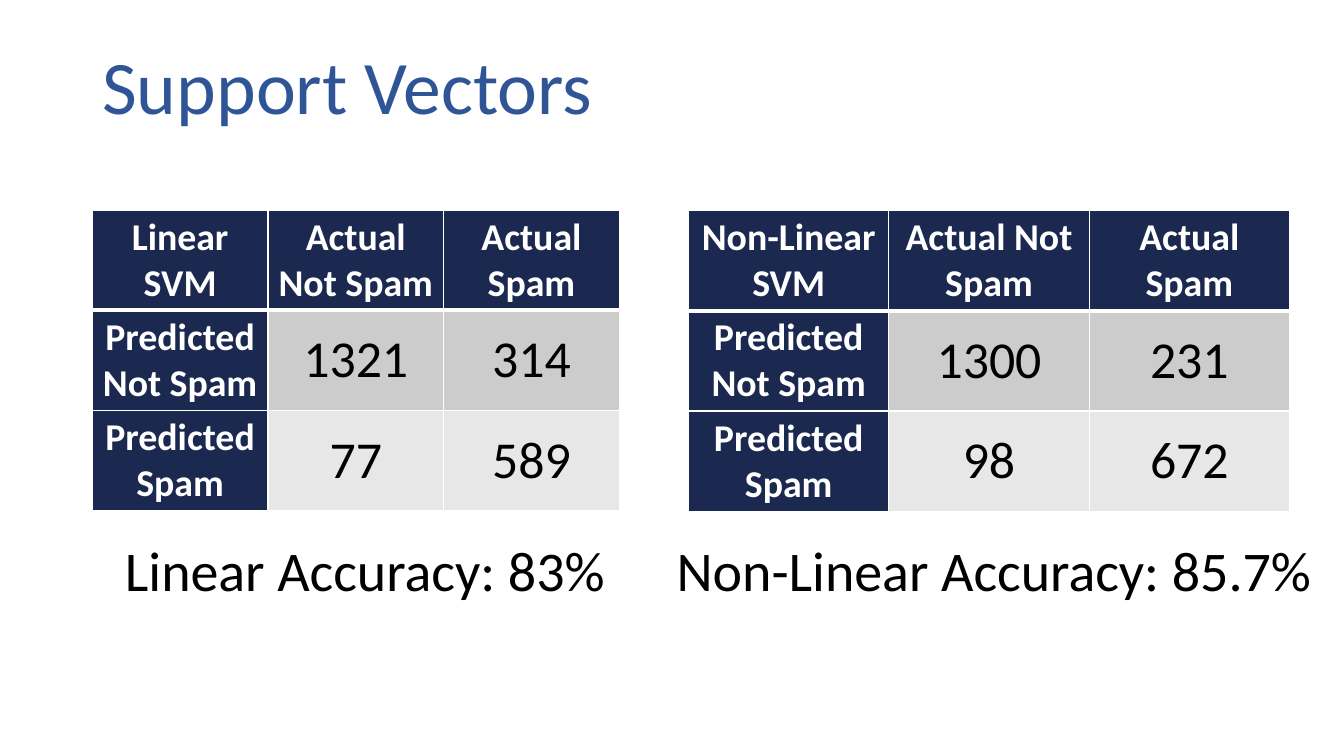
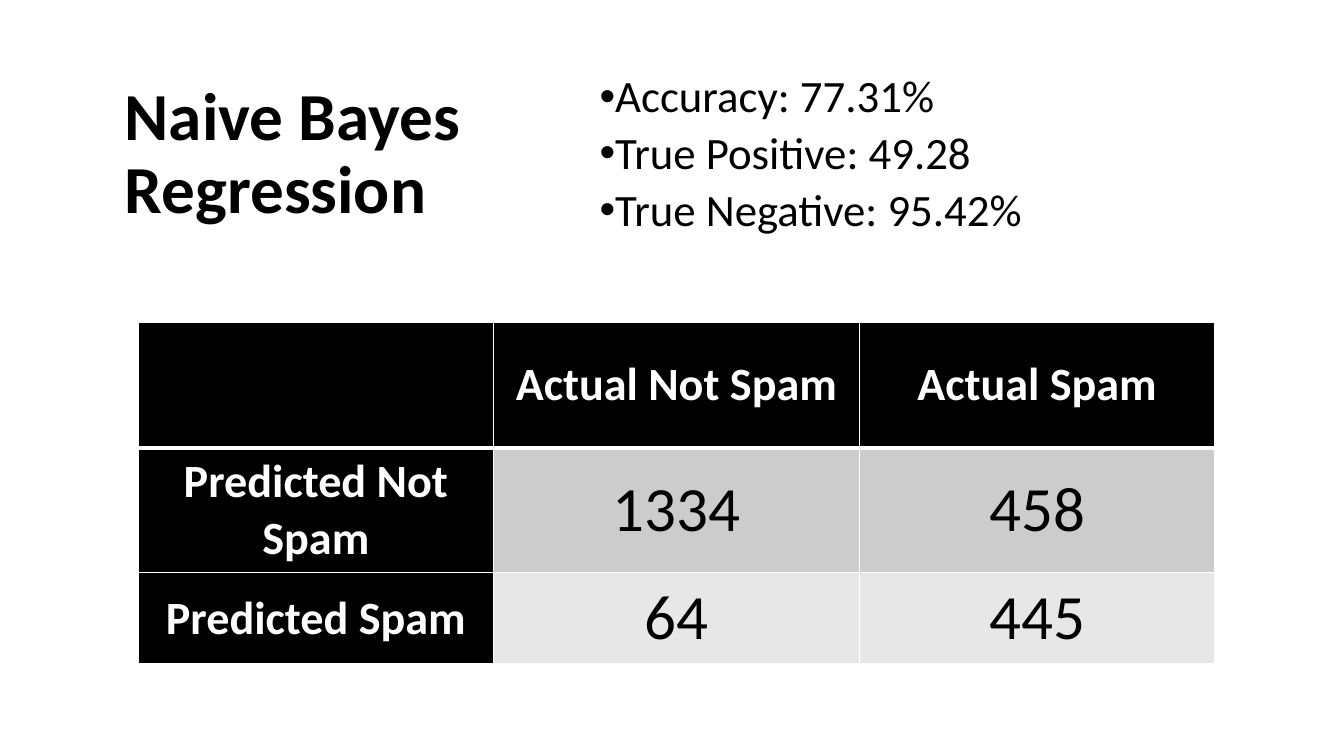
from lxml import etree
from pptx import Presentation
from pptx.dml.color import RGBColor
from pptx.enum.text import MSO_ANCHOR, PP_ALIGN
from pptx.oxml.ns import qn
from pptx.util import Pt

LEFT, CENTER = PP_ALIGN.LEFT, PP_ALIGN.CENTER
MIDDLE = MSO_ANCHOR.MIDDLE

FONT = "Calibri"
BLACK, WHITE = "000000", "FFFFFF"
BLUE, NAVY = "2F5597", "1B284F"
BODY_FILLS = ["CCCCCC", "E7E7E7"]

# Paragraph formats shared by the slides
LEFT_LINES = {"alignment": LEFT, "line_spacing": 0.9}
CENTER_LINES = {"alignment": CENTER, "line_spacing": 0.9}
LIST_LINES = {"alignment": LEFT, "line_spacing": 0.9, "space_after": Pt(6)}
CELL_LINES = {"alignment": CENTER}


def write(frame, lines, layout, size, color, bold=False):
    """Fill a text frame with one formatted paragraph per line."""
    frame.word_wrap = True
    for index, line in enumerate(lines):
        para = frame.paragraphs[0] if index == 0 else frame.add_paragraph()
        for name, value in layout.items():
            setattr(para, name, value)
        span = para.add_run()
        span.text = line
        for name, value in {"name": FONT, "size": Pt(size), "bold": bold}.items():
            setattr(span.font, name, value)
        span.font.color.rgb = RGBColor.from_string(color)


def add_text(page, place, lines, layout, size, color, bold=False):
    """Add a vertically centred text box and return its text frame."""
    box = page.shapes.add_textbox(*[Pt(length) for length in place])
    box.text_frame.vertical_anchor = MIDDLE
    write(box.text_frame, lines, layout, size, color, bold)
    return box.text_frame


deck = Presentation()
deck.slide_width, deck.slide_height = Pt(960), Pt(540)
blank = deck.slide_layouts[6]
vectors_page = deck.slides.add_slide(blank)
bayes_page = deck.slides.add_slide(blank)

# Titles
add_text(vectors_page, (66, 12, 828, 104.4), ["Support Vectors"], LEFT_LINES, 54, BLUE)
add_text(bayes_page, (82, 46, 280, 129.6), ["Naive Bayes Regression"],
         LEFT_LINES, 48, BLACK, True)

# Accuracy captions
for left, caption in [(7.2, "Linear Accuracy: 83%"),
                      (456.5, "Non-Linear Accuracy: 85.7%")]:
    add_text(vectors_page, (left, 314.4, 507, 190), [caption], CENTER_LINES, 40, BLACK)

# Bulleted scores
scores = add_text(bayes_page, (421.2, 46, 472.3, 129.6),
                  ["Accuracy: 77.31%", "True Positive: 49.28", "True Negative: 95.42%"],
                  LIST_LINES, 32, BLACK)
for para in scores.paragraphs:
    properties = para._p.get_or_add_pPr()
    properties.set("marL", "0")
    properties.set("indent", str(-Pt(18)))
    etree.SubElement(properties, qn("a:buFont")).set("typeface", "Arial")
    etree.SubElement(properties, qn("a:buChar")).set("char", "•")

# Confusion matrices
matrices = [
    {"page": vectors_page, "corner": "Linear SVM", "counts": [(1321, 314), (77, 589)],
     "left": 65.9, "top": 150, "columns": [125.5] * 3, "rows": [71.6] * 3,
     "fill": NAVY, "sizes": (27, 37), "margins": (5.8, 2.9)},
    {"page": vectors_page, "corner": "Non-Linear SVM", "counts": [(1300, 231), (98, 672)],
     "left": 491.8, "top": 150, "columns": [143.1] * 3, "rows": [72, 71.6, 71.6],
     "fill": NAVY, "sizes": (27, 37), "margins": (5.8, 2.9)},
    {"page": bayes_page, "corner": "", "counts": [(1334, 458), (64, 445)],
     "left": 98.8, "top": 230.4, "columns": [253.8, 261.4, 253.8],
     "rows": [89.4, 89.4, 65],
     "fill": BLACK, "sizes": (33, 45), "margins": (7.2, 3.6)},
]
for matrix in matrices:
    place = (matrix["left"], matrix["top"], sum(matrix["columns"]), sum(matrix["rows"]))
    frame = matrix["page"].shapes.add_table(3, 3, *[Pt(length) for length in place])
    table = frame.table
    for column, width in zip(table.columns, matrix["columns"]):
        column.width = Pt(width)
    for row, height in zip(table.rows, matrix["rows"]):
        row.height = Pt(height)

    grid = [(matrix["corner"], "Actual Not Spam", "Actual Spam"),
            ("Predicted Not Spam", *matrix["counts"][0]),
            ("Predicted Spam", *matrix["counts"][1])]
    side, edge = [Pt(margin) for margin in matrix["margins"]]
    cell_format = {"vertical_anchor": MIDDLE, "margin_left": side, "margin_right": side,
                   "margin_top": edge, "margin_bottom": edge}
    label_size, count_size = matrix["sizes"]

    for row, values in enumerate(grid):
        for column, value in enumerate(values):
            cell = table.cell(row, column)
            for name, setting in cell_format.items():
                setattr(cell, name, setting)

            # White borders, heavier under the header row
            properties = cell._tc.get_or_add_tcPr()
            for border in ("lnL", "lnR", "lnT", "lnB"):
                heavy = (row, border) in [(0, "lnB"), (1, "lnT")]
                line = etree.SubElement(properties, qn("a:" + border))
                line.set("w", str(Pt(3 if heavy else 1)))
                paint = etree.SubElement(line, qn("a:solidFill"))
                etree.SubElement(paint, qn("a:srgbClr")).set("val", WHITE)

            label = row == 0 or column == 0
            cell.fill.solid()
            cell.fill.fore_color.rgb = RGBColor.from_string(
                matrix["fill"] if label else BODY_FILLS[row - 1])
            if value != "":
                write(cell.text_frame, [str(value)], CELL_LINES,
                      label_size if label else count_size,
                      WHITE if label else BLACK, label)

deck.save("out.pptx")
